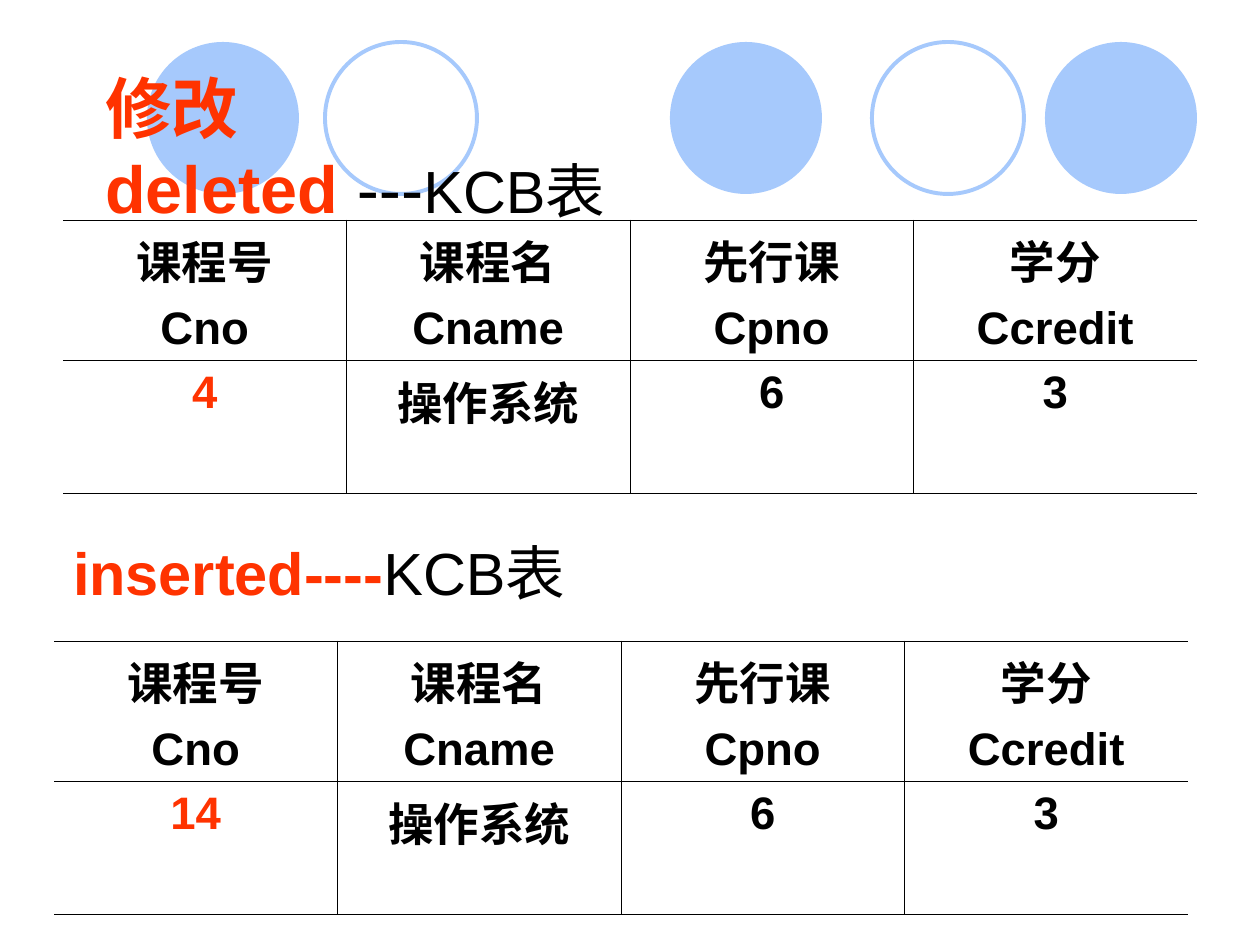
from lxml import etree
from pptx import Presentation
from pptx.dml.color import RGBColor
from pptx.enum.shapes import MSO_SHAPE
from pptx.enum.text import MSO_ANCHOR, MSO_AUTO_SIZE, PP_ALIGN
from pptx.oxml.ns import qn
from pptx.util import Emu, Pt

OVAL = MSO_SHAPE.OVAL
MIDDLE = MSO_ANCHOR.MIDDLE
NO_FIT = MSO_AUTO_SIZE.NONE
LEFT, CENTER = PP_ALIGN.LEFT, PP_ALIGN.CENTER
COLORS = {"circle": "A6C9FC", "accent": "FF3300", "text": "000000"}
FONT = "Arial"
LINE_BREAK = "\v"

# Content: runs are (text, size, color, bold)
DELETED_HEADING = [
    ("修改" + LINE_BREAK + "deleted", 38, "accent", True),
    (" ---", 38, "text", False),
    ("KCB表", 34, "text", False),
]
INSERTED_HEADING = [
    (" ", 34, "text", False),
    ("inserted----", 34, "accent", True),
    ("KCB表", 34, "text", False),
]
HEADERS = [("课程号", "Cno"), ("课程名", "Cname"), ("先行课", "Cpno"), ("学分", "Ccredit")]
COURSE = ["操作系统", "6", "3"]
TABLES = [("4", 63, 220), ("14", 54, 641)]  # changed number, left, top
CIRCLES = [(147, True), (325, False), (670, True), (872, False), (1045, True)]  # left, filled

# Layout in px
SLIDE_WIDTH, SLIDE_HEIGHT = 1260, 945
CIRCLE_TOP, CIRCLE_SIZE = 42, 152
TABLE_WIDTH, ROW_HEIGHT = 1134, 133
HEADING_SIZE = (1134, 158)


def px(value):
    return Emu(value * 914400 // 126)


def color(name):
    return RGBColor.from_string(COLORS[name])


def write(paragraph, text, size=26, color_name="text", bold=True, align=CENTER):
    paragraph.alignment = align
    run_start = len(paragraph.runs)
    for index, part in enumerate(text.split(LINE_BREAK)):
        if index:
            paragraph.add_line_break()
        paragraph.add_run().text = part
    for run in paragraph.runs[run_start:]:
        run.font.name = FONT
        run.font.size = Pt(size)
        run.font.bold = bold
        run.font.color.rgb = color(color_name)


def fill_heading(shape, left, top, runs):
    shape.left, shape.top = px(left), px(top)
    shape.width, shape.height = (px(length) for length in HEADING_SIZE)
    frame = shape.text_frame
    frame.word_wrap = True
    frame.auto_size = NO_FIT
    frame.vertical_anchor = MIDDLE
    for text, size, color_name, bold in runs:
        write(frame.paragraphs[0], text, size=size, color_name=color_name, bold=bold, align=LEFT)


def set_borders(cell, visible_sides):
    properties = cell._tc.get_or_add_tcPr()
    for index, side in enumerate("LRTB"):
        line = etree.Element(qn(f"a:ln{side}"), w=str(Pt(0.45)))
        if side in visible_sides:
            fill = etree.SubElement(line, qn("a:solidFill"))
            etree.SubElement(fill, qn("a:srgbClr"), val=COLORS["text"])
        else:
            etree.SubElement(line, qn("a:noFill"))
        properties.insert(index, line)


def add_course_table(slide, number, left, top):
    rows = [HEADERS, [(value,) for value in [number] + COURSE]]
    last = len(HEADERS) - 1
    table = slide.shapes.add_table(
        len(rows), len(HEADERS), px(left), px(top), px(TABLE_WIDTH), px(ROW_HEIGHT * len(rows))
    ).table
    table.first_row = table.horz_banding = False
    for row_index, row in enumerate(rows):
        for column, lines in enumerate(row):
            cell = table.cell(row_index, column)
            cell.fill.background()
            sides = "TB" + ("L" if column > 0 else "") + ("R" if column < last else "")
            set_borders(cell, sides)
            changed = row_index == 1 and column == 0
            frame = cell.text_frame
            for line_index, text in enumerate(lines):
                paragraph = frame.add_paragraph() if line_index else frame.paragraphs[0]
                if line_index:
                    paragraph.space_before = Pt(6.5)
                write(paragraph, text, color_name="accent" if changed else "text")


def main():
    presentation = Presentation()
    presentation.slide_width, presentation.slide_height = px(SLIDE_WIDTH), px(SLIDE_HEIGHT)
    slide = presentation.slides.add_slide(presentation.slide_layouts[5])

    # Row of decorative circles
    for left, filled in CIRCLES:
        circle = slide.shapes.add_shape(
            OVAL, px(left), px(CIRCLE_TOP), px(CIRCLE_SIZE), px(CIRCLE_SIZE)
        )
        circle.shadow.inherit = False
        if filled:
            circle.fill.solid()
            circle.fill.fore_color.rgb = color("circle")
            circle.line.fill.background()
        else:
            circle.fill.background()
            circle.line.color.rgb = color("circle")
            circle.line.width = Pt(2.25)

    # Headings
    fill_heading(slide.shapes.title, 44, 493, INSERTED_HEADING)
    fill_heading(slide.shapes.add_textbox(0, 0, 0, 0), 93, 68, DELETED_HEADING)

    # Tables of the row before and after the change
    for number, left, top in TABLES:
        add_course_table(slide, number, left, top)

    presentation.save("out.pptx")


if __name__ == "__main__":
    main()
